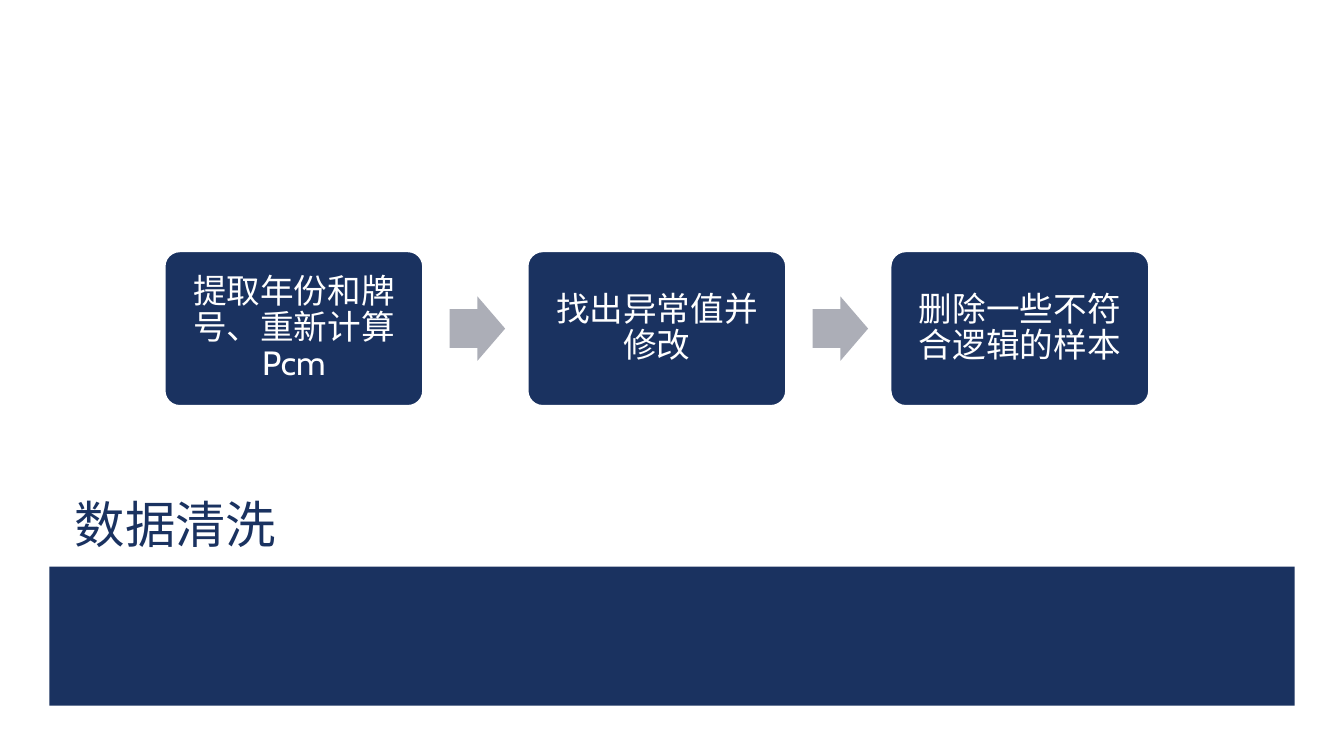
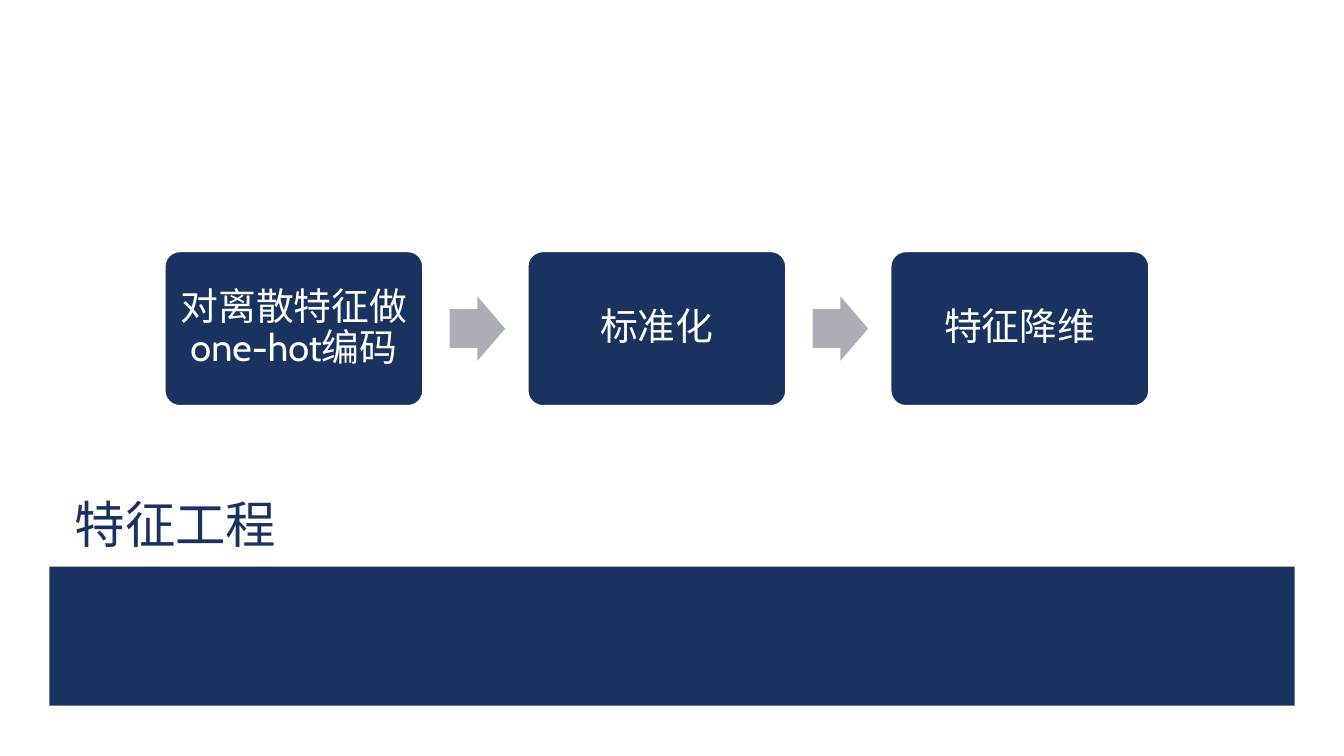
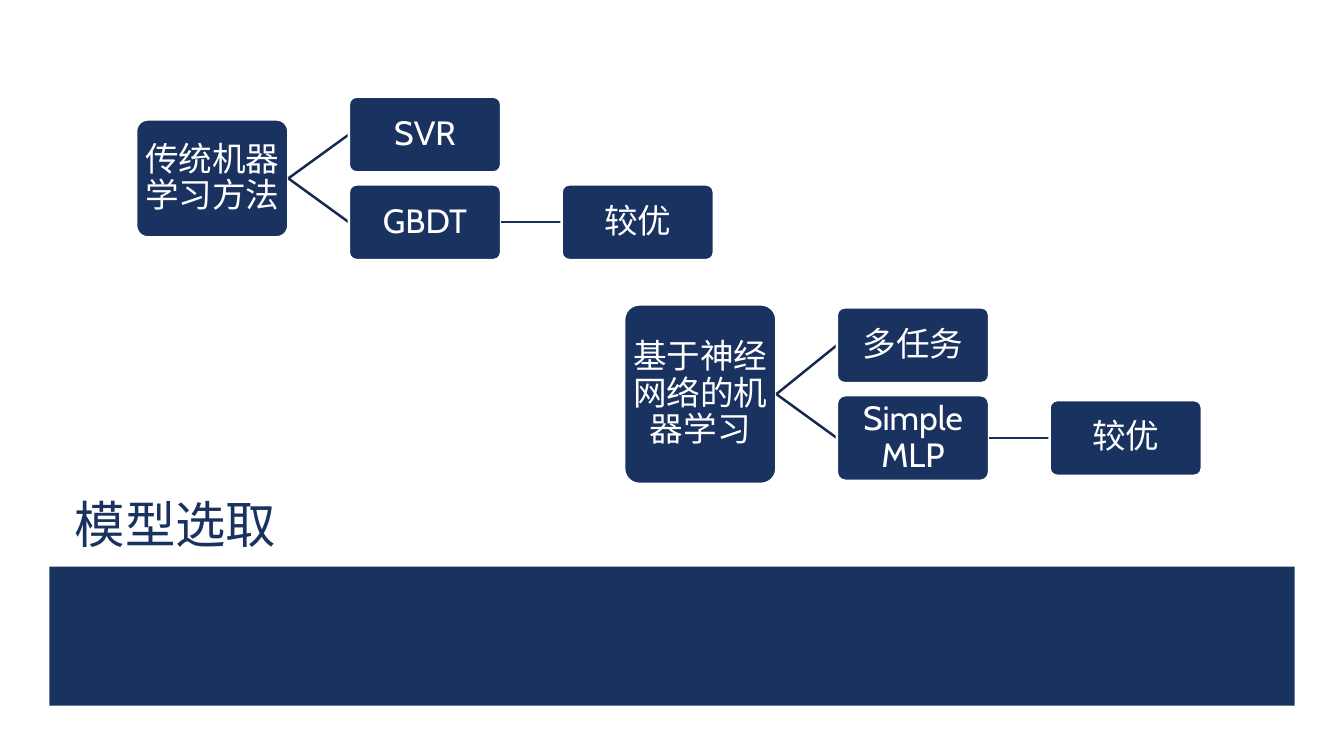
from lxml.etree import SubElement
from pptx import Presentation
from pptx.dml.color import RGBColor
from pptx.enum.shapes import MSO_CONNECTOR, MSO_SHAPE
from pptx.enum.text import MSO_ANCHOR, MSO_AUTO_SIZE, PP_ALIGN
from pptx.oxml.ns import qn
from pptx.util import Inches, Pt

COLORS = {
    "navy": "1A3260",
    "arrow": "ACAEB7",
    "branch": "15284D",
    "twig": "182D57",
    "white": "FFFFFF",
}
CJK_FONT = "Noto Sans CJK SC"
LATIN_FONT = "Cabin"
TITLE_ONLY = 5

PROCESSES = [
    ("数据清洗", 24, 0.1, ["提取年份和牌号、重新计算Pcm", "找出异常值并修改", "删除一些不符合逻辑的样本"]),
    ("特征工程", 27, 0.11, ["对离散特征做one-hot编码", "标准化", "特征降维"]),
]
BEST = ("较优", 0.75, [])
MODEL_TREES = [
    (1.35, 1.77, ("传统机器学习方法", 1.17, [
        ("SVR", 0.75, []),
        ("GBDT", 0.75, [BEST]),
    ])),
    (6.19, 3.91, ("基于神经网络的机器学习", 1.78, [
        ("多任务", 0.75, []),
        ("Simple MLP", 0.85, [BEST]),
    ])),
]


def color(key):
    return RGBColor.from_string(COLORS[key])


def assign(target, values):
    for attribute, value in values.items():
        setattr(target, attribute, value)


class Deck:
    step_width, step_height, step_pitch = 2.57, 1.54, 3.6
    arrow_width, arrow_height = 0.55, 0.64
    node_width, node_pitch, node_gap = 1.51, 2.11, 0.12

    def __init__(self):
        self.presentation = Presentation()
        assign(self.presentation, {"slide_width": Inches(13.33), "slide_height": Inches(7.5)})
        self.slide = None

    def add_slide(self, heading):
        layout = self.presentation.slide_layouts[TITLE_ONLY]
        self.slide = self.presentation.slides.add_slide(layout)
        self.shape(MSO_SHAPE.RECTANGLE, (0.49, 5.62, 12.35, 1.38), "navy")
        title = self.slide.shapes.title
        assign(title, {"left": Inches(0.64), "top": Inches(3.91),
                       "width": Inches(12.06), "height": Inches(1.64)})
        self.set_text(title, heading, 36, CJK_FONT, "navy",
                      {"vertical_anchor": MSO_ANCHOR.BOTTOM}, {"alignment": PP_ALIGN.LEFT})

    def set_text(self, shape, text, size, font, ink, frame_format, paragraph_format):
        frame = shape.text_frame
        assign(frame, {"word_wrap": True, "auto_size": MSO_AUTO_SIZE.NONE, **frame_format})
        paragraph = frame.paragraphs[0]
        assign(paragraph, {"line_spacing": 0.9, **paragraph_format})
        run = paragraph.add_run()
        run.text = text
        assign(run.font, {"size": Pt(size), "name": font})
        run.font.color.rgb = color(ink)
        SubElement(run.font._element, qn("a:ea")).set("typeface", CJK_FONT)

    def shape(self, kind, place, fill, adjustments=()):
        shape = self.slide.shapes.add_shape(kind, *map(Inches, place))
        shape.shadow.inherit = False
        shape.fill.solid()
        shape.fill.fore_color.rgb = color(fill)
        shape.line.fill.background()
        for index, value in enumerate(adjustments):
            shape.adjustments[index] = value
        return shape

    def box(self, text, place, size, inset):
        box = self.shape(MSO_SHAPE.ROUNDED_RECTANGLE, place, "navy", [0.1])
        box.line.color.rgb = color("white")
        box.line.width = Pt(1.75)
        margins = {f"margin_{side}": Inches(inset) for side in ("left", "top", "right", "bottom")}
        self.set_text(box, text, size, LATIN_FONT, "white",
                      {"vertical_anchor": MSO_ANCHOR.MIDDLE, **margins},
                      {"alignment": PP_ALIGN.CENTER})
        return box

    def process(self, steps, size, inset, left=1.63, middle=3.26):
        for index, step in enumerate(steps):
            x = left + index * self.step_pitch
            if index:
                self.shape(MSO_SHAPE.RIGHT_ARROW,
                           (x - 0.77, middle - self.arrow_height / 2,
                            self.arrow_width, self.arrow_height),
                           "arrow", [0.6, 0.5])
            self.box(step, (x, middle - self.step_height / 2,
                            self.step_width, self.step_height), size, inset)

    def link(self, parent, x, y, ink):
        start = (parent.left + parent.width, parent.top + parent.height // 2)
        link = self.slide.shapes.add_connector(MSO_CONNECTOR.STRAIGHT, *start, Inches(x), Inches(y))
        link.begin_connect(parent, 3)
        link.line.color.rgb = color(ink)
        link.line.width = Pt(1.75)
        SubElement(link._element.spPr, qn("a:effectLst"))
        return link

    def tree(self, left, middle, node, parent=None, ink="branch"):
        label, height, children = node
        link = self.link(parent, left, middle, ink) if parent else None
        box = self.box(label, (left, middle - height / 2, self.node_width, height), 24, 0.02)
        if link:
            link.end_connect(box, 1)
        stack = sum(child[1] for child in children) + self.node_gap * (len(children) - 1)
        top = middle - stack / 2
        for child in children:
            self.tree(left + self.node_pitch, top + child[1] / 2, child, box,
                      "twig" if parent else "branch")
            top += child[1] + self.node_gap


def main():
    deck = Deck()
    for heading, size, inset, steps in PROCESSES:
        deck.add_slide(heading)
        deck.process(steps, size, inset)
    deck.add_slide("模型选取")
    for left, middle, root in MODEL_TREES:
        deck.tree(left, middle, root)
    deck.presentation.save("out.pptx")


if __name__ == "__main__":
    main()
